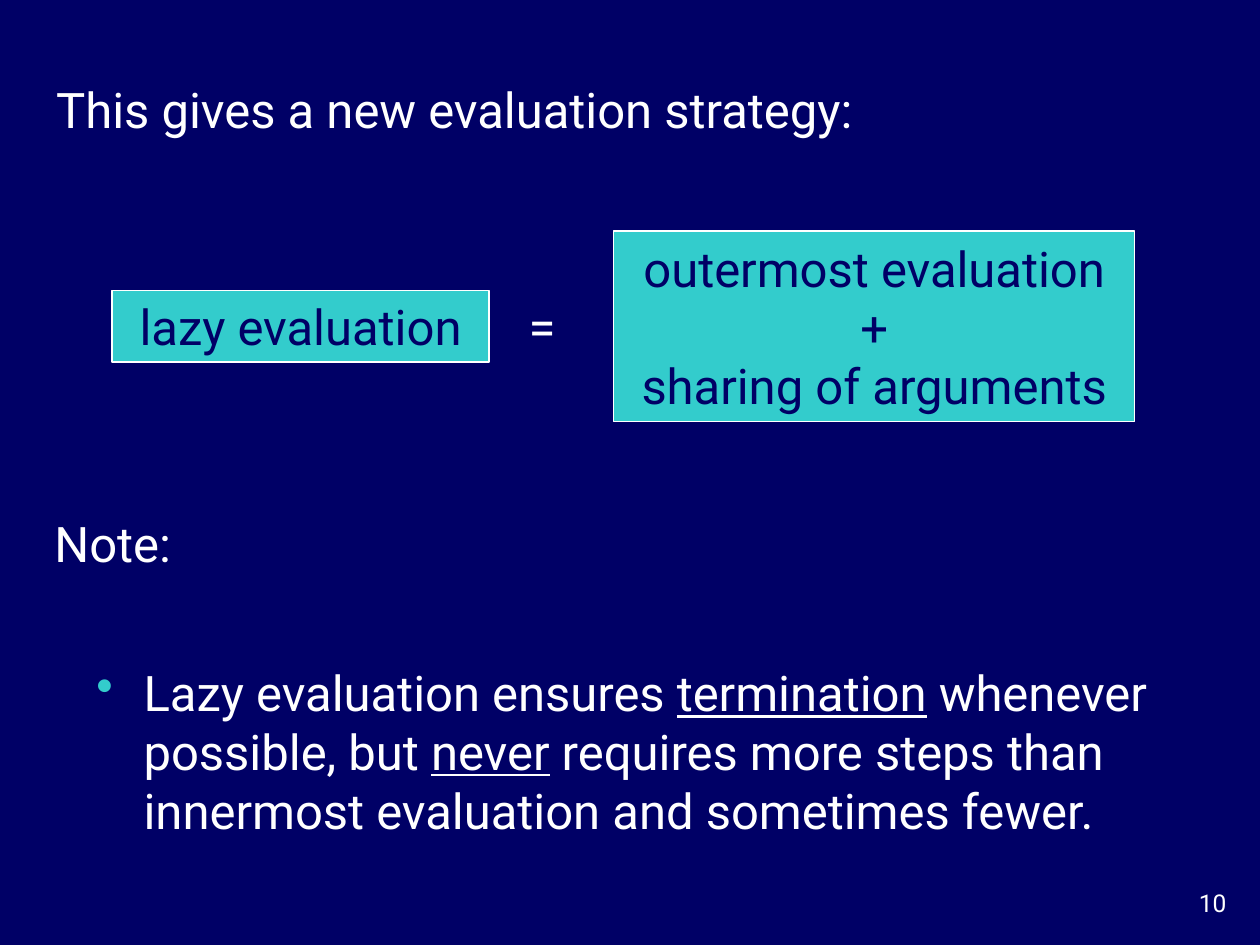
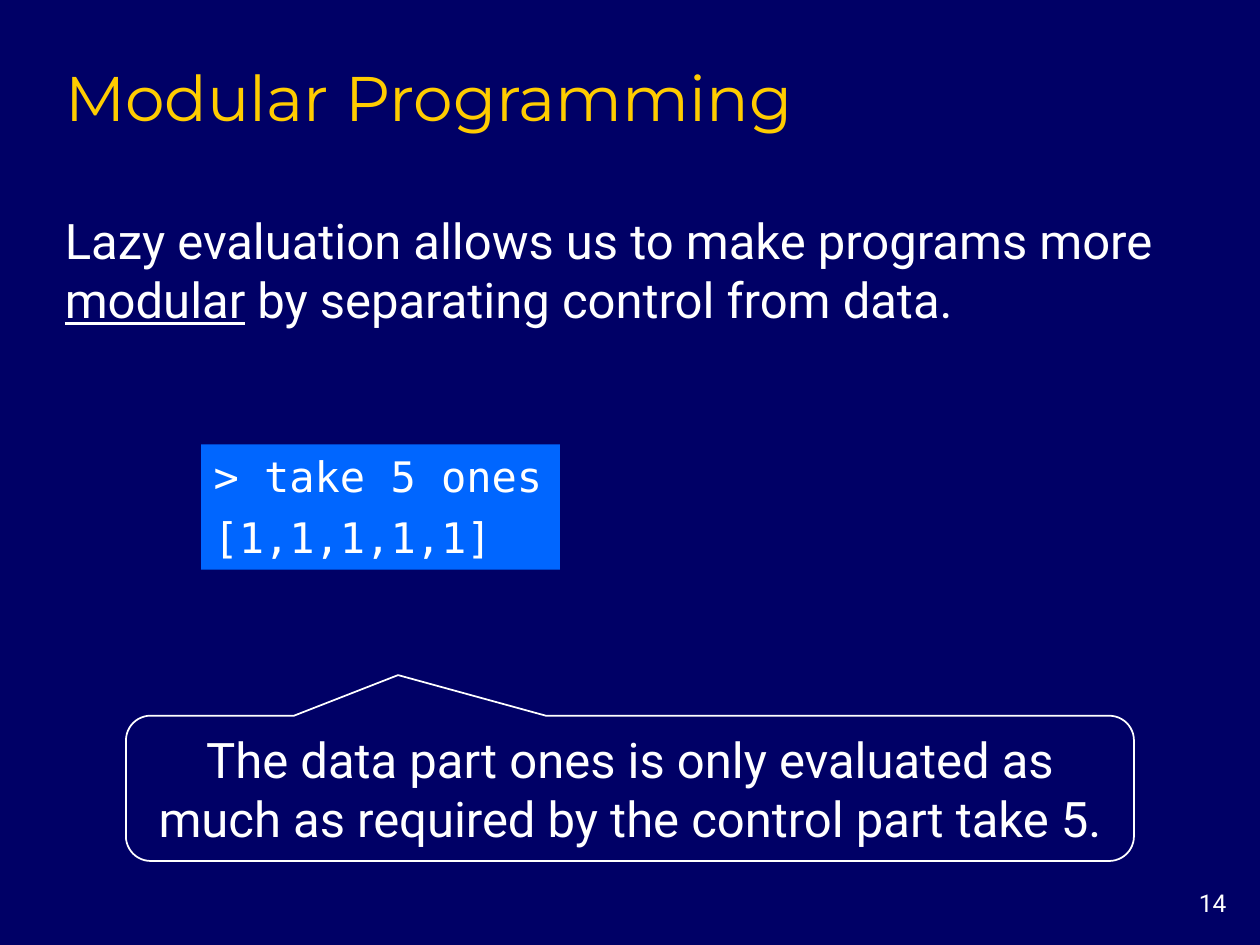
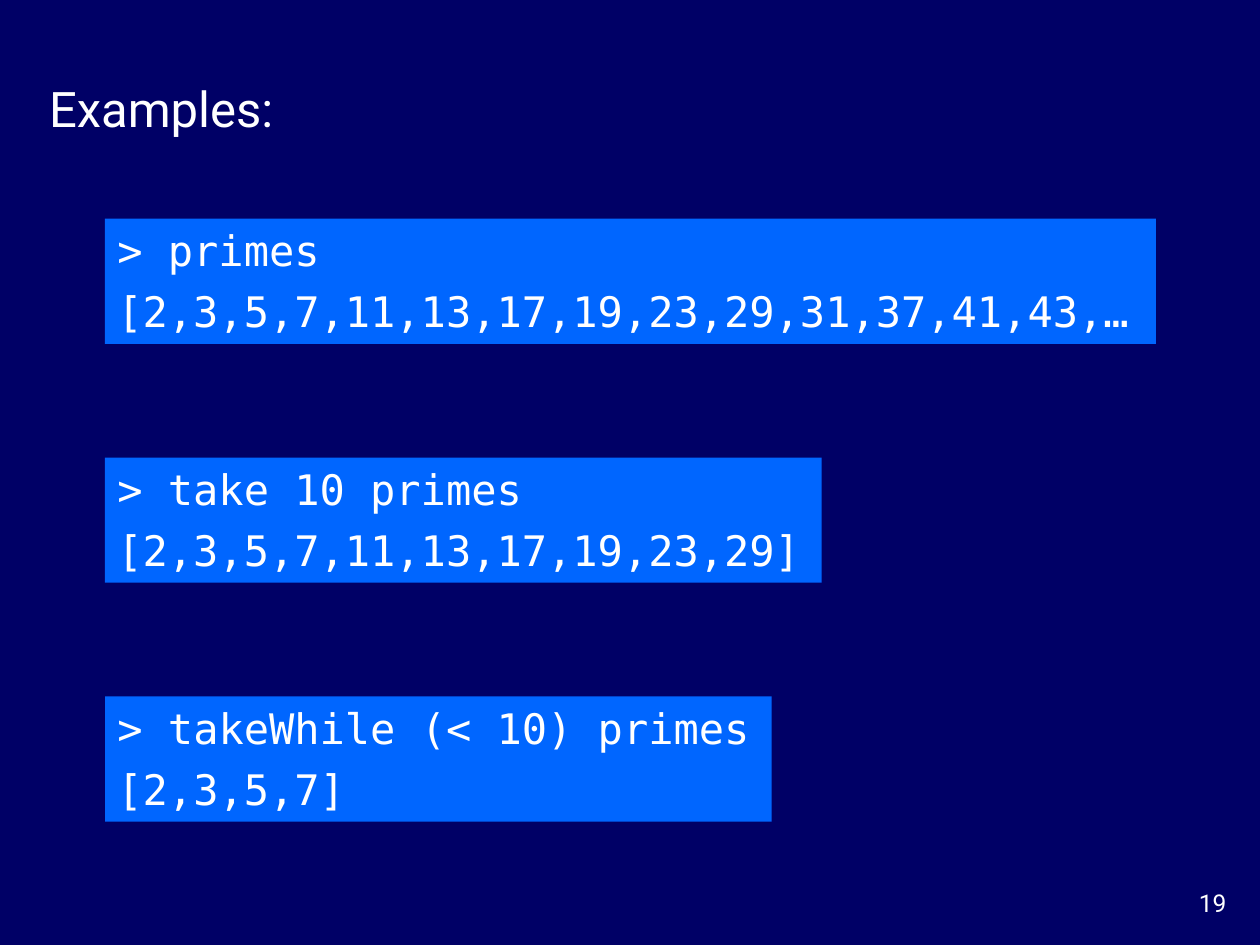
"""Build three slides on lazy evaluation."""
from lxml.etree import SubElement
from pptx import Presentation
from pptx.dml.color import RGBColor as Color
from pptx.enum.shapes import MSO_SHAPE as Form
from pptx.enum.text import MSO_ANCHOR as Anchor, MSO_AUTO_SIZE as Auto, PP_ALIGN as Align
from pptx.oxml.ns import qn
from pptx.util import Pt

HUES = {
    "navy": "000066",
    "white": "FFFFFF",
    "teal": "33CCCC",
    "blue": "0066FF",
    "gold": "FFCC00",
}
BODY, HEAD, MONO = "Roboto", "Montserrat", "DejaVu Sans Mono"
TITLE = (30, 30, 670, 54)
PAGE = (660, 504, 48, 24)
CODE_H = 71.5
LEFT, TOP, STEP = 60, 125, 136.5

RUNS = [
    (600.5, ["> primes", "[2,3,5,7,11,13,17,19,23,29,31,37,41,43,…"]),
    (409.5, ["> take 10 primes", "[2,3,5,7,11,13,17,19,23,29]"]),
    (381, ["> takeWhile (< 10) primes", "[2,3,5,7]"]),
]

SLIDES = [
    {"page": "10", "title": None, "parts": [
        ("text", (25, 42, 669, 41), ["This gives a new evaluation strategy:"]),
        ("term", (64, 166, 215.5, 41), ["lazy evaluation"]),
        ("text", (295, 166, 45, 41), ["="]),
        ("term", (350.5, 132, 298, 109), ["outermost evaluation +", "sharing of arguments"]),
        ("text", (24, 290, 95, 41), ["Note:"]),
        ("point", (48, 375, 623.5, 127.5), [
            "Lazy evaluation ensures _termination_ whenever possible, but _never_ "
            "requires more steps than innermost evaluation and sometimes fewer."]),
    ]},
    {"page": "14", "title": "Modular Programming", "parts": [
        ("text", (30, 116.5, 670, 75), [
            "Lazy evaluation allows us to make programs more _modular_ "
            "by separating control from data."]),
        ("code", (115, 254, 205, CODE_H), ["> take 5 ones", "[1,1,1,1,1]"]),
        ("call", (72, 409, 576, 83), [
            "The data part ones is only evaluated as much as required "
            "by the control part take 5."]),
    ]},
    {"page": "19", "title": None, "parts": [
        ("text", (21, 41, 185, 41), ["Examples:"]),
        *[("code", (LEFT, TOP + STEP * i, wide, CODE_H), rows)
          for i, (wide, rows) in enumerate(RUNS)],
    ]},
]


def hue(name):
    """Return a colour by name."""
    return Color.from_string(HUES[name])


def write(shape, rows, size=28, font=BODY, ink="white", align=Align.LEFT,
          anchor=Anchor.MIDDLE, after=0, wrap=True, auto=Auto.SHAPE_TO_FIT_TEXT):
    """Fill a shape with rows, underlining what stands between underscores."""
    frame = shape.text_frame
    frame.text = "\n".join(row.split("_")[0] for row in rows)
    frame.word_wrap = wrap
    frame.auto_size = auto
    frame.vertical_anchor = anchor
    for para, row in zip(frame.paragraphs, rows):
        para.alignment = align
        if after:
            para.space_after = Pt(after)
        for i, piece in enumerate(row.split("_")[1:]):
            run = para.add_run()
            run.text = piece
            run.font.underline = i % 2 == 0
        for run in para.runs:
            run.font.size = Pt(size)
            run.font.name = font
            run.font.color.rgb = hue(ink)


def bullet(para):
    """Give a paragraph a hanging teal bullet."""
    props = para._p.get_or_add_pPr()
    props.set("marL", str(Pt(27)))
    props.set("indent", str(-Pt(27)))
    tint = SubElement(props, qn("a:buClr"))
    SubElement(tint, qn("a:srgbClr"), val=HUES["teal"])
    SubElement(props, qn("a:buChar"), char="•")


def panel(slide, box, form=Form.RECTANGLE, fill=None, line=0):
    """Add a flat shape with an optional fill and white outline."""
    shape = slide.shapes.add_shape(form, *map(Pt, box))
    shape.shadow.inherit = False
    if fill:
        shape.fill.solid()
        shape.fill.fore_color.rgb = hue(fill)
    else:
        shape.fill.background()
    if line:
        shape.line.color.rgb = hue("white")
        shape.line.width = Pt(line)
    else:
        shape.line.fill.background()
    return shape


def label(slide, box, rows, **style):
    """Add a text box."""
    shape = slide.shapes.add_textbox(*map(Pt, box))
    write(shape, rows, **style)
    return shape


def point(slide, box, rows):
    """Add a bulleted text box."""
    shape = label(slide, box, rows, anchor=Anchor.TOP, auto=Auto.NONE)
    for para in shape.text_frame.paragraphs:
        bullet(para)


def term(slide, box, rows):
    """Add a teal box that names a term."""
    write(panel(slide, box, fill="teal", line=0.75), rows, ink="navy", align=Align.CENTER)


def code(slide, box, rows):
    """Add a blue box with a console session."""
    write(panel(slide, box, fill="blue"), rows, size=24, font=MONO,
          anchor=Anchor.TOP, after=6, wrap=False)


def call(slide, box, rows):
    """Add an outlined callout that points up."""
    shape = panel(slide, box, Form.ROUNDED_RECTANGULAR_CALLOUT, line=1)
    for i, value in enumerate((-0.23, -0.78, 0.17)):
        shape.adjustments[i] = value
    write(shape, rows, align=Align.CENTER)


KINDS = {"text": label, "point": point, "term": term, "code": code, "call": call}


def build():
    """Build and save the deck."""
    deck = Presentation()
    deck.slide_width, deck.slide_height = Pt(720), Pt(540)
    back = deck.slide_master.background.fill
    back.solid()
    back.fore_color.rgb = hue("navy")
    for data in SLIDES:
        layout = "Title Only" if data["title"] else "Blank"
        slide = deck.slides.add_slide(deck.slide_layouts.get_by_name(layout))
        label(slide, PAGE, [data["page"]], size=14, align=Align.RIGHT,
              anchor=Anchor.TOP, auto=Auto.NONE)
        if data["title"]:
            head = slide.shapes.title
            head.left, head.top, head.width, head.height = map(Pt, TITLE)
            write(head, [data["title"]], size=36, font=HEAD, ink="gold",
                  anchor=Anchor.TOP, auto=Auto.NONE)
        for kind, box, rows in data["parts"]:
            KINDS[kind](slide, box, rows)
    deck.save("out.pptx")


build()
